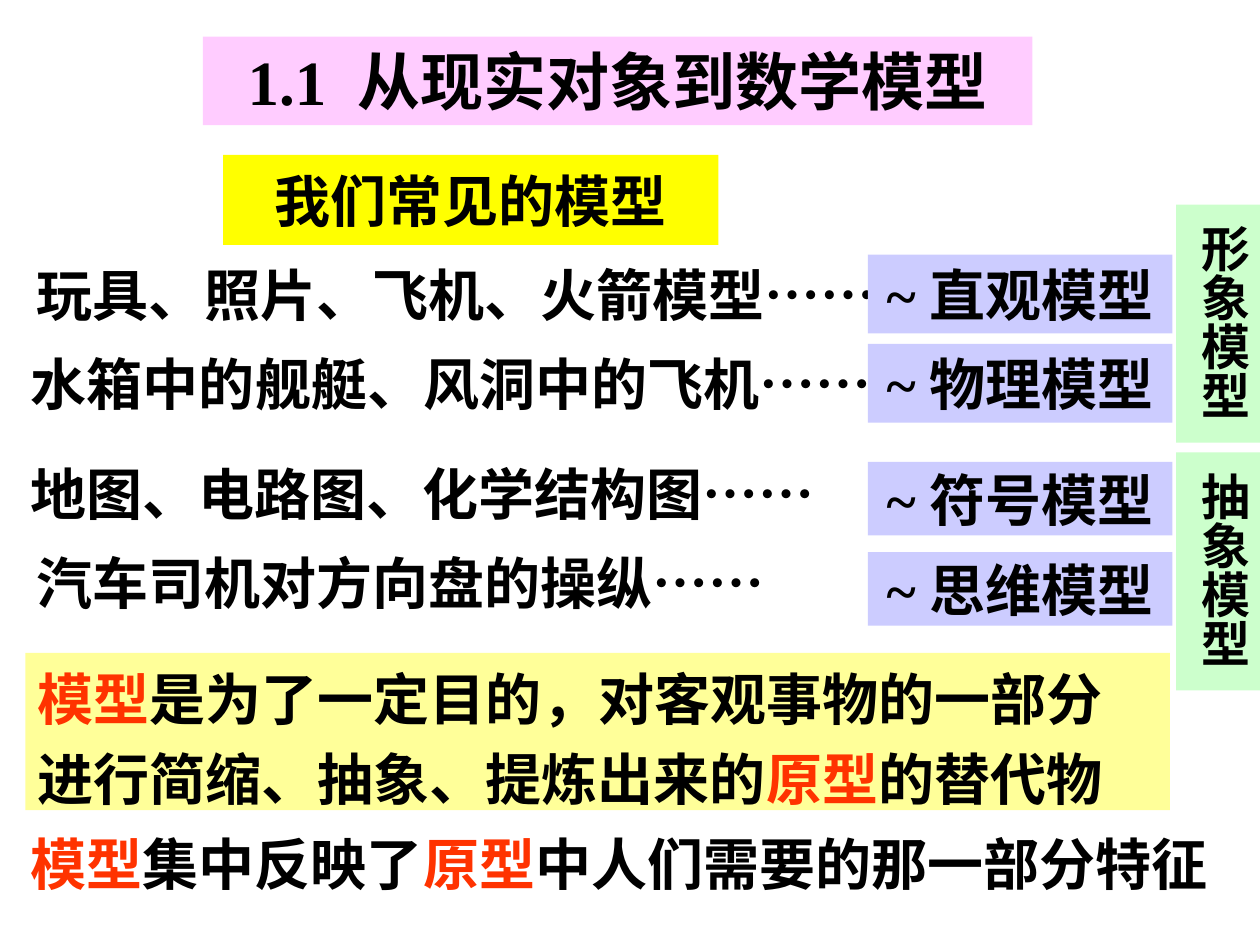
from lxml.etree import SubElement
from pptx import Presentation
from pptx.dml.color import RGBColor
from pptx.enum.shapes import MSO_SHAPE as Shape
from pptx.enum.text import MSO_ANCHOR as Anchor, PP_ALIGN as Align
from pptx.oxml.ns import qn
from pptx.util import Pt

LATIN, CJK = "Times New Roman", "Noto Sans CJK SC"
BLACK, RED = "000000", "FF3300"
PINK, YELLOW, CREAM, LILAC, MINT = "FFCCFF", "FFFF00", "FFFF99", "CCCCFF", "CCFFCC"

# Content: a run is (text, font, colour)
TITLE = [("1.1  ", LATIN, BLACK), ("从现实对象到数学模型", CJK, BLACK)]
SUBTITLE = [("我们常见的模型", CJK, BLACK)]

# Examples with their box, alignment and level, then the kind of model
ROWS = [
    ("玩具、照片、飞机、火箭模型……", (6, 144, 474, 48), Align.CENTER, 1, "直观模型", CJK),
    ("水箱中的舰艇、风洞中的飞机……", (18, 198, 480, 42), Align.CENTER, 0, "物理模型", LATIN),
    ("地图、电路图、化学结构图…… ", (14.5, 264, 462, 36), Align.CENTER, 0, "符号模型", CJK),
    ("汽车司机对方向盘的操纵……", (13.5, 309.5, 430.5, 46), Align.LEFT, 0, "思维模型", CJK),
]
KIND_LEFT, KIND_WIDTH = 496, 174
KIND_SPANS = [(145.5, 45), (196.5, 45), (264, 42), (315.5, 42)]  # top, height

GROUPS = ["形象模型", "抽象模型"]
GROUP_LEFT, GROUP_TOP, GROUP_STEP = 672, 117, 141.5

DEFINITION = [
    [("模型", LATIN, RED), ("是为了一定目的，对客观事物的一部分", LATIN, BLACK)],
    [("进行简缩、抽象、提炼出来的", LATIN, BLACK), ("原型", LATIN, RED),
     ("的替代物", LATIN, BLACK)],
]
SUMMARY = [("模型", LATIN, RED), ("集中反映了", LATIN, BLACK), ("原型", LATIN, RED),
           ("中人们需要的那一部分特征", LATIN, BLACK)]


def rgb(color):
    return RGBColor.from_string(color)


def add_box(slide, box, paragraphs, fill=None, size=32, align=Align.CENTER,
            anchor=Anchor.MIDDLE, wrap=False, level=0, spacing=None, vertical=False):
    panel = slide.shapes.add_shape(Shape.RECTANGLE, *[Pt(length) for length in box])
    panel.shadow.inherit = False
    panel.line.fill.background()
    if fill:
        panel.fill.solid()
        panel.fill.fore_color.rgb = rgb(fill)
    else:
        panel.fill.background()
    frame = panel.text_frame
    frame.word_wrap = wrap
    frame.vertical_anchor = anchor
    side, edge = (3.6, 11.5) if vertical else (7.2, 3.6)
    frame.margin_left = frame.margin_right = Pt(side)
    frame.margin_top = frame.margin_bottom = Pt(edge)
    if vertical:
        frame._txBody.bodyPr.set("vert", "eaVert")
    for number, runs in enumerate(paragraphs):
        paragraph = frame.add_paragraph() if number else frame.paragraphs[0]
        paragraph.alignment = align
        if level:
            paragraph.level = level
            paragraph._p.get_or_add_pPr().set("marL", str(Pt(36 * level)))
        if spacing:
            paragraph.line_spacing = spacing
        for text, font, color in runs:
            run = paragraph.add_run()
            run.text = text
            run.font.size = Pt(size)
            run.font.bold = True
            run.font.color.rgb = rgb(color)
            run.font.name = font
            SubElement(run._r.get_or_add_rPr(), qn("a:ea")).set("typeface", CJK)


def main():
    deck = Presentation()
    deck.slide_width, deck.slide_height = Pt(720), Pt(540)
    slide = deck.slides.add_slide(deck.slide_layouts[6])

    # Headings
    add_box(slide, (116, 21, 474, 50.5), [TITLE], PINK, size=36, anchor=Anchor.TOP, wrap=True)
    add_box(slide, (127.5, 88.5, 283, 51.5), [SUBTITLE], YELLOW)

    # Examples and the kind of model each one is
    for (examples, box, align, level, kind, font), (top, height) in zip(ROWS, KIND_SPANS):
        add_box(slide, box, [[(examples, LATIN, BLACK)]], align=align, level=level)
        add_box(slide, (KIND_LEFT, top, KIND_WIDTH, height),
                [[("~ ", LATIN, BLACK), (kind, font, BLACK)]], LILAC)

    # Vertical group names
    for number, group in enumerate(GROUPS):
        add_box(slide, (GROUP_LEFT, GROUP_TOP + number * GROUP_STEP, 48, 136),
                [[(group, LATIN, BLACK)]], MINT, size=28, align=Align.LEFT,
                anchor=Anchor.TOP, wrap=True, vertical=True)

    # Definition and summary
    add_box(slide, (14.5, 373, 654, 90), DEFINITION, CREAM, align=Align.LEFT, spacing=1.2)
    add_box(slide, (18, 466, 672, 54), [SUMMARY])

    deck.save("out.pptx")


if __name__ == "__main__":
    main()
